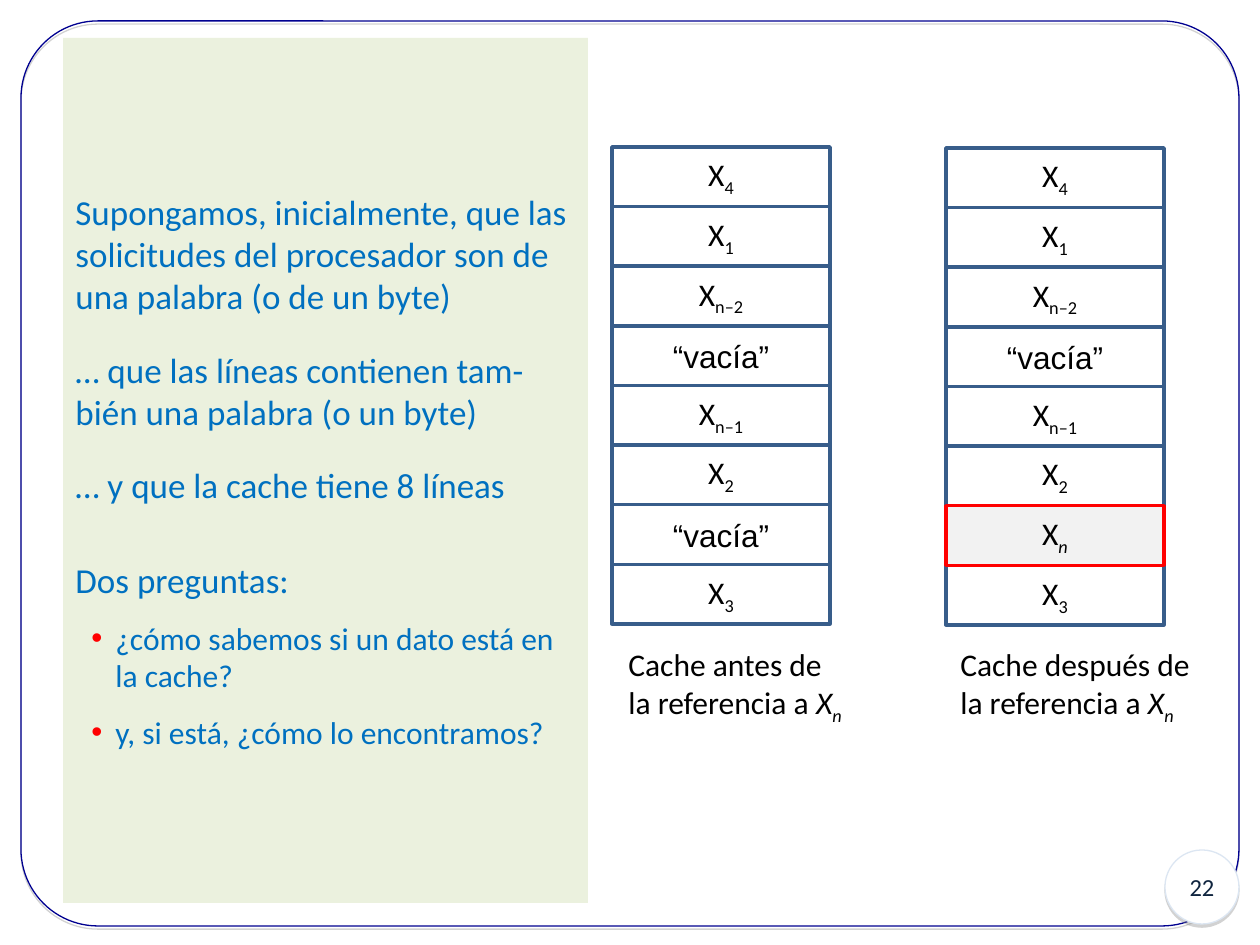
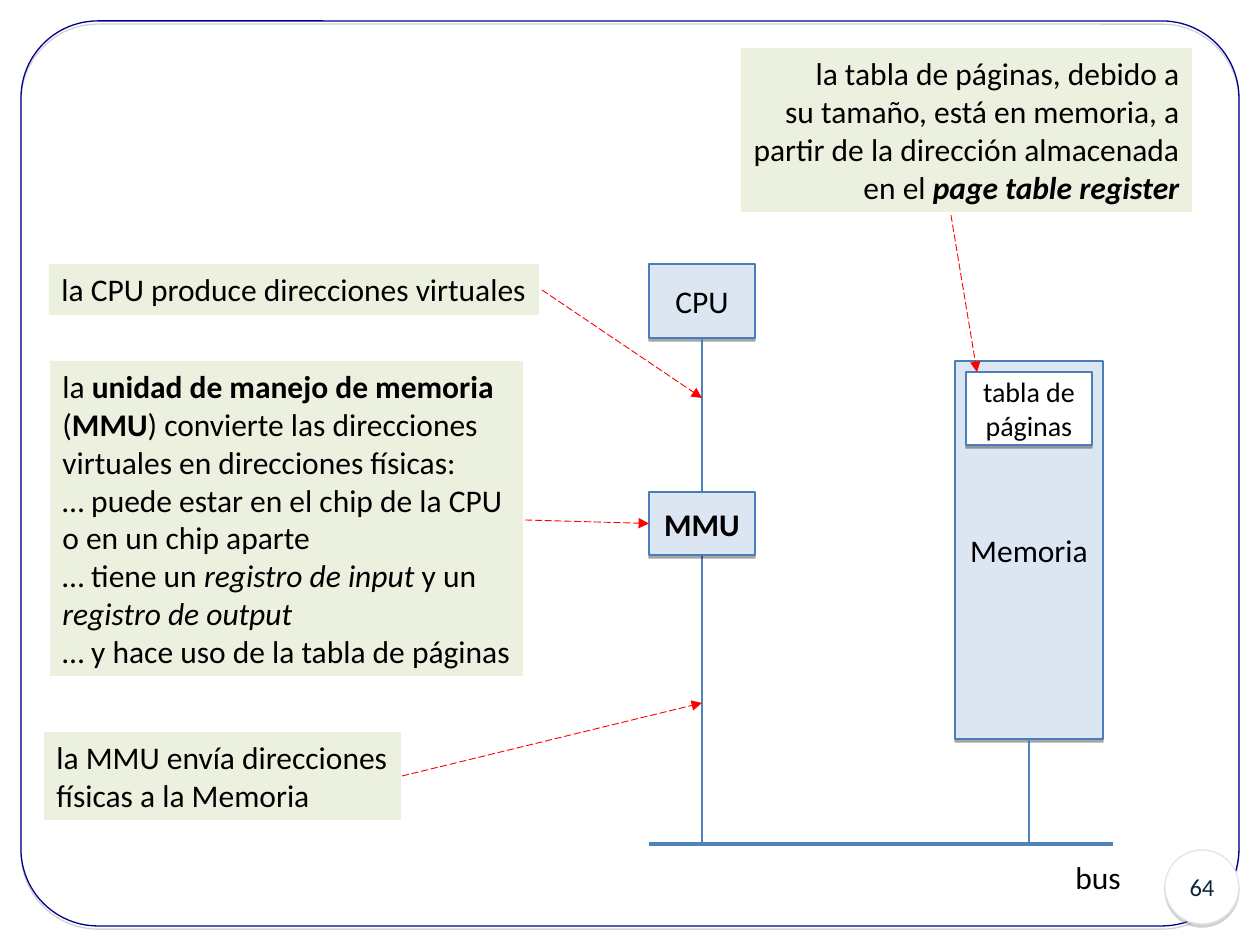
import lxml.etree
import pptx
import pptx.dml.color
import pptx.enum.dml
import pptx.enum.shapes
import pptx.enum.text
import pptx.oxml.ns
import pptx.util

RGB = pptx.dml.color.RGBColor
SHAPE = pptx.enum.shapes.MSO_SHAPE
ALIGN = pptx.enum.text.PP_ALIGN
ANCHOR = pptx.enum.text.MSO_ANCHOR
Pt = pptx.util.Pt
qn = pptx.oxml.ns.qn
add_xml = lxml.etree.SubElement

WHITE = RGB(0xFF, 0xFF, 0xFF)
BLACK = RGB(0x00, 0x00, 0x00)
RED = RGB(0xFF, 0x00, 0x00)
GRAY = RGB(0x80, 0x80, 0x80)
NAVY = RGB(0x00, 0x00, 0x90)
NUMBER_INK = RGB(0x10, 0x25, 0x3F)
TEXT_BLUE = RGB(0x00, 0x70, 0xC0)
PALE_GREEN = RGB(0xEB, 0xF1, 0xDE)
PALE_BLUE = RGB(0xDC, 0xE6, 0xF2)
CELL_BLUE = RGB(0x38, 0x5D, 0x8A)
UNIT_BLUE = RGB(0x4A, 0x7E, 0xBB)
WIRE_BLUE = RGB(0x4F, 0x81, 0xBD)
PALE_GRAY = RGB(0xF2, 0xF2, 0xF2)

PX = 914400 / 126
MARKS = {"b": {"bold": True}, "i": {"italic": True}}


def add_box(slide, place, paragraphs=(), kind=SHAPE.RECTANGLE, fill=None, line=None, weight=0.75,
            shadow=None, size=18, color=BLACK, font="Calibri", align=ALIGN.CENTER,
            anchor=ANCHOR.MIDDLE, wrap=True):
    place = [round(length * PX) for length in place]
    if kind is None:
        box = slide.shapes.add_textbox(*place)
    else:
        box = slide.shapes.add_shape(kind, *place)
        box.shadow.inherit = False
    if fill is None:
        box.fill.background()
    else:
        box.fill.solid()
        box.fill.fore_color.rgb = fill
    if line is None:
        box.line.fill.background()
    else:
        box.line.color.rgb = line
        box.line.width = Pt(weight)
    if shadow is not None:
        effects = box._element.spPr.find(qn("a:effectLst"))
        outer = add_xml(effects, qn("a:outerShdw"), blurRad="0", dist="22860", dir="5400000", rotWithShape="0")
        tint = add_xml(outer, qn("a:srgbClr"), val=str(shadow))
        add_xml(tint, qn("a:alpha"), val="35000")
    frame = box.text_frame
    frame.word_wrap = wrap
    frame.vertical_anchor = anchor
    if not wrap:
        frame.auto_size = pptx.enum.text.MSO_AUTO_SIZE.SHAPE_TO_FIT_TEXT
    for index, runs in enumerate(paragraphs):
        paragraph = frame.add_paragraph() if index else frame.paragraphs[0]
        paragraph.alignment = align
        for text, marks in runs:
            run = paragraph.add_run()
            run.text = text
            looks = {"name": font, "size": Pt(size)}
            for mark in marks:
                looks.update(MARKS.get(mark, {}))
            for name, value in looks.items():
                setattr(run.font, name, value)
            run.font.color.rgb = color
            if "_" in marks:
                run._r.get_or_add_rPr().set("baseline", "-25000")
    return box


def add_line(slide, ends, color=WIRE_BLUE, weight=0.75, arrow=False):
    line = slide.shapes.add_connector(pptx.enum.shapes.MSO_CONNECTOR.STRAIGHT,
                                      *[round(length * PX) for length in ends])
    line.line.color.rgb = color
    line.line.width = Pt(weight)
    if arrow:
        line.line.dash_style = pptx.enum.dml.MSO_LINE.LONG_DASH
        add_xml(line.line._ln, qn("a:tailEnd"), type="triangle")
    add_xml(line._element.spPr, qn("a:effectLst"))
    return line


deck = pptx.Presentation()
deck.slide_width = round(1260 * PX)
deck.slide_height = round(945 * PX)

for number in ("22", "64"):
    slide = deck.slides.add_slide(deck.slide_layouts[6])
    border = add_box(slide, (21, 21, 1218, 905), kind=SHAPE.ROUNDED_RECTANGLE, line=NAVY, shadow=GRAY)
    border.adjustments[0] = 0.085
    add_box(slide, (1165, 850, 74, 74), [[(number, "")]], kind=SHAPE.OVAL, fill=WHITE, line=PALE_BLUE,
            shadow=GRAY, size=14, color=NUMBER_INK)
cache_slide, mmu_slide = deck.slides

premises = [
    ("Supongamos, inicialmente, que las solicitudes del procesador son de una palabra (o de un byte)", 0, 20, False),
    ("… que las líneas contienen tam-bién una palabra (o un byte)", 18, 20, False),
    ("… y que la cache tiene 8 líneas", 18, 20, False),
    ("Dos preguntas:", 30, 20, False),
    ("¿cómo sabemos si un dato está en la cache?", 10.5, 18, True),
    ("y, si está, ¿cómo lo encontramos?", 10.5, 18, True),
]
panel = add_box(cache_slide, (63, 38, 525, 865), [[(text, "")] for text, *_ in premises],
                fill=PALE_GREEN, color=TEXT_BLUE, align=ALIGN.LEFT)
for paragraph, (_, space, size, is_question) in zip(panel.text_frame.paragraphs, premises):
    if is_question:
        paragraph.level = 1
        props = paragraph._p.get_or_add_pPr()
        props.set("marL", str(round(40 * PX)))
        props.set("indent", str(round(-24 * PX)))
        add_xml(add_xml(props, qn("a:buClr")), qn("a:srgbClr"), val=str(RED))
        add_xml(props, qn("a:buFont"), typeface="Arial")
        add_xml(props, qn("a:buChar"), char="•")
    paragraph.space_before = Pt(space)
    paragraph.runs[0].font.size = Pt(size)

EMPTY = "“vacía”"
CELL_W, CELL_H = 218, 477 / 8
cache_before = ["4", "1", "n–2", EMPTY, "n–1", "2", EMPTY, "3"]
loaded_row = 6
caches = [
    (612, 147, (616, 639, 241, 93), "Cache antes de"),
    (946, 148, (948, 639, 255, 93), "Cache después de"),
]
for left, top, caption_place, caption in caches:
    for row, content in enumerate(cache_before):
        place = (left, top + row * CELL_H, CELL_W, CELL_H)
        if content == EMPTY:
            add_box(cache_slide, place, [[(EMPTY, "")]], line=CELL_BLUE, weight=2, font="Arial")
        else:
            add_box(cache_slide, place, [[("X", ""), (content, "_")]], line=CELL_BLUE, weight=2)
    add_box(cache_slide, caption_place,
            [[(caption, "")], [("la referencia a ", ""), ("X", "i"), ("n", "i_")]],
            kind=None, align=ALIGN.LEFT, anchor=ANCHOR.TOP, wrap=False)
add_box(cache_slide, (left, top + loaded_row * CELL_H, CELL_W, CELL_H), [[("X", ""), ("n", "i_")]],
        fill=PALE_GRAY, line=RED, weight=2)

unit = {"fill": PALE_BLUE, "line": UNIT_BLUE, "shadow": BLACK}
cpu = add_box(mmu_slide, (649, 264, 106, 74), [[("CPU", "")]], **unit)
add_line(mmu_slide, (702, 338, 702, 845)).begin_connect(cpu, 2)
mmu = add_box(mmu_slide, (649, 492, 106, 63), [[("MMU", "b")]], **unit)
memory = add_box(mmu_slide, (955, 361, 148, 378), [[("Memoria", "")]], **unit)
add_line(mmu_slide, (649, 844, 1113, 844), weight=2)
add_line(mmu_slide, (1029, 739, 1029, 844)).begin_connect(memory, 2)
add_box(mmu_slide, (966, 372, 126, 73), [[("tabla de páginas", "")]], size=16, **{**unit, "fill": WHITE})
add_box(mmu_slide, (1063, 852, 71, 50), [[("bus", "")]], kind=None, align=ALIGN.LEFT,
        anchor=ANCHOR.TOP, wrap=False)

notes = [
    ((49, 264, 490, 51), ALIGN.LEFT, [[("la CPU produce direcciones virtuales", "")]]),
    ((44, 732, 357, 88), ALIGN.LEFT, [[("la MMU envía direcciones", "")], [("físicas a la Memoria", "")]]),
    ((741, 48, 451, 164), ALIGN.RIGHT, [
        [("la tabla de páginas, debido a", "")],
        [("su tamaño, está en memoria, a", "")],
        [("partir de la dirección almacenada", "")],
        [("en el ", ""), ("page table register", "bi")],
    ]),
    ((50, 361, 473, 315), ALIGN.LEFT, [
        [("la ", ""), ("unidad de manejo de memoria", "b")],
        [("(", ""), ("MMU", "b"), (") convierte las direcciones", "")],
        [("virtuales en direcciones físicas:", "")],
        [("… puede estar en el chip de la CPU", "")],
        [("o en un chip aparte", "")],
        [("… tiene un ", ""), ("registro de input", "i"), (" y un", "")],
        [("registro de output", "i")],
        [("… y hace uso de la tabla de páginas", "")],
    ]),
]
for place, align, paragraphs in notes:
    add_box(mmu_slide, place, paragraphs, fill=PALE_GREEN, align=align, anchor=ANCHOR.TOP, wrap=False)

pointers = [(951, 215, 977, 372), (542, 290, 702, 398), (402, 776, 702, 703), (525, 520, 649, 524)]
for ends in pointers:
    pointer = add_line(mmu_slide, ends, color=RED, weight=0.5, arrow=True)
pointer.end_connect(mmu, 1)

deck.save("out.pptx")
